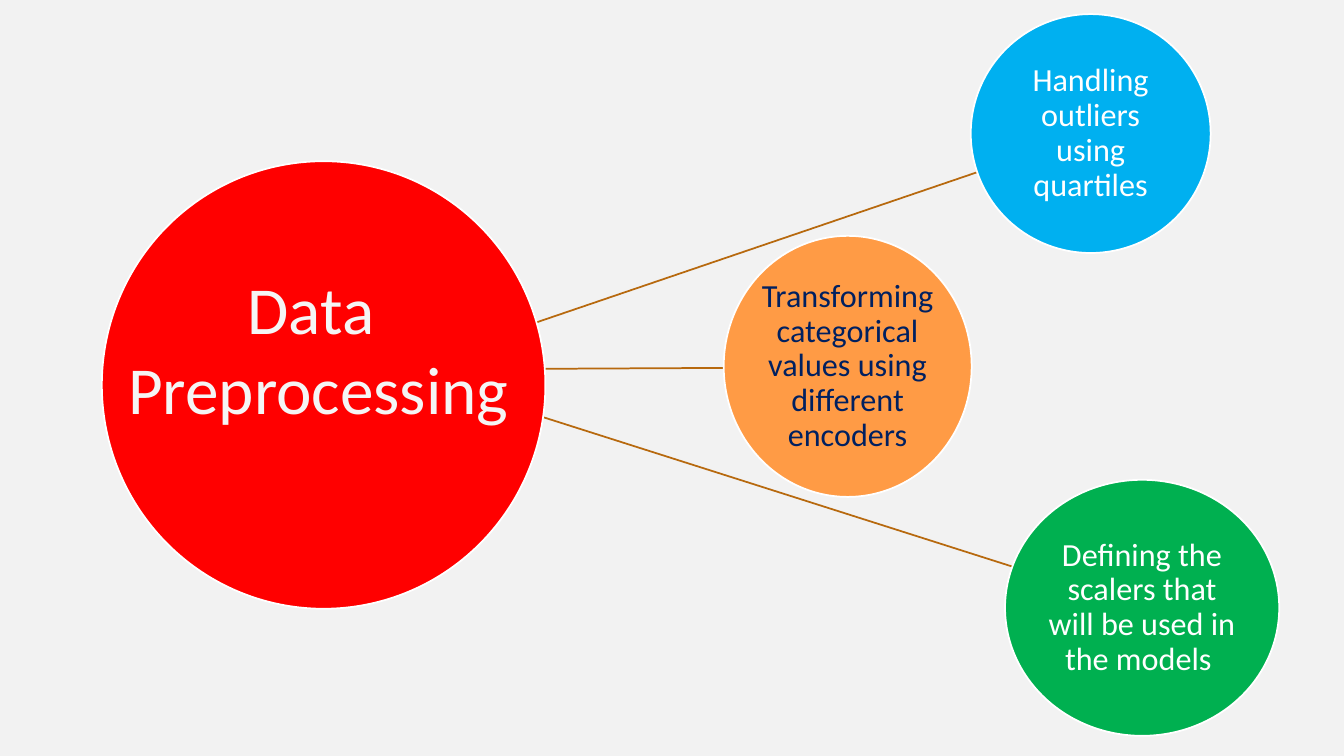
from lxml import etree
from pptx import Presentation
from pptx import util as u
from pptx.dml.color import RGBColor
from pptx.enum import shapes, text
from pptx.oxml.ns import qn

WIDE, HIGH = u.Inches(13.333), u.Inches(7.5)

# Boxes are left, top, width, height in percent of the slide.
TOPICS = [
    ("Handling outliers using quartiles",
     (72.23, 1.87, 17.85, 31.6), "00B0F0", "FFFFFF"),
    ("Transforming categorical values using different encoders",
     (53.85, 31.2, 18.45, 34.53), "FF9B45", "002060"),
    ("Defining the scalers that will be used in the models ",
     (74.78, 63.47, 20.4, 33.87), "00B050", "FFFFFF"),
]
# Each spoke leaves the hub at one x: start y, then end x and y.
HUB_X = 38.55
SPOKES = [(43.47, 72.68, 22.8), (48.8, 53.85, 48.67), (54.13, 75.3, 74.93)]


def color(code):
    return RGBColor.from_string(code)


def place(*shares):
    """Turn alternating x and y percentages into slide lengths."""
    return [round((HIGH if i % 2 else WIDE) * s / 100)
            for i, s in enumerate(shares)]


def write(shape, lines, size, ink, inset=0.1, gap=1.0,
          anchor=text.MSO_ANCHOR.TOP):
    frame = shape.text_frame
    frame.word_wrap = True
    frame.vertical_anchor = anchor
    frame.margin_left = frame.margin_right = u.Inches(inset)
    frame.margin_top = frame.margin_bottom = u.Inches(inset / 2)
    for i, line in enumerate(lines):
        para = frame.add_paragraph() if i else frame.paragraphs[0]
        para.alignment = text.PP_ALIGN.CENTER
        para.line_spacing = gap
        run = para.add_run()
        run.text = line
        run.font.name = "Calibri"
        run.font.size = u.Pt(size)
        run.font.color.rgb = color(ink)


def stroke(shape, code):
    shape.line.color.rgb = color(code)
    shape.line.width = u.Pt(1.25)


def spoke(slide, start, end):
    line = slide.shapes.add_connector(
        shapes.MSO_CONNECTOR.STRAIGHT, *place(*start, *end))
    stroke(line, "B7690E")
    etree.SubElement(line._element.spPr, qn("a:effectLst"))


def circle(slide, box, fill):
    shape = slide.shapes.add_shape(shapes.MSO_SHAPE.OVAL, *place(*box))
    shape.shadow.inherit = False
    shape.fill.solid()
    shape.fill.fore_color.rgb = color(fill)
    stroke(shape, "FFFFFF")
    return shape


def main():
    deck = Presentation()
    deck.slide_width, deck.slide_height = WIDE, HIGH
    slide = deck.slides.add_slide(deck.slide_layouts[6])
    back = slide.background.fill
    back.solid()
    back.fore_color.rgb = color("F2F2F2")

    for start, x, y in SPOKES:
        spoke(slide, (HUB_X, start), (x, y))
    circle(slide, (7.58, 21.33, 33, 59.2), "FF0000")
    for words, box, fill, ink in TOPICS:
        write(circle(slide, box, fill), [words], 23, ink, inset=0,
              gap=0.9, anchor=text.MSO_ANCHOR.MIDDLE)
    title = slide.shapes.add_textbox(*place(6.15, 34.67, 35.1, 22.93))
    write(title, ["Data ", "Preprocessing"], 48, "F5F5F5")
    deck.save("out.pptx")


if __name__ == "__main__":
    main()
